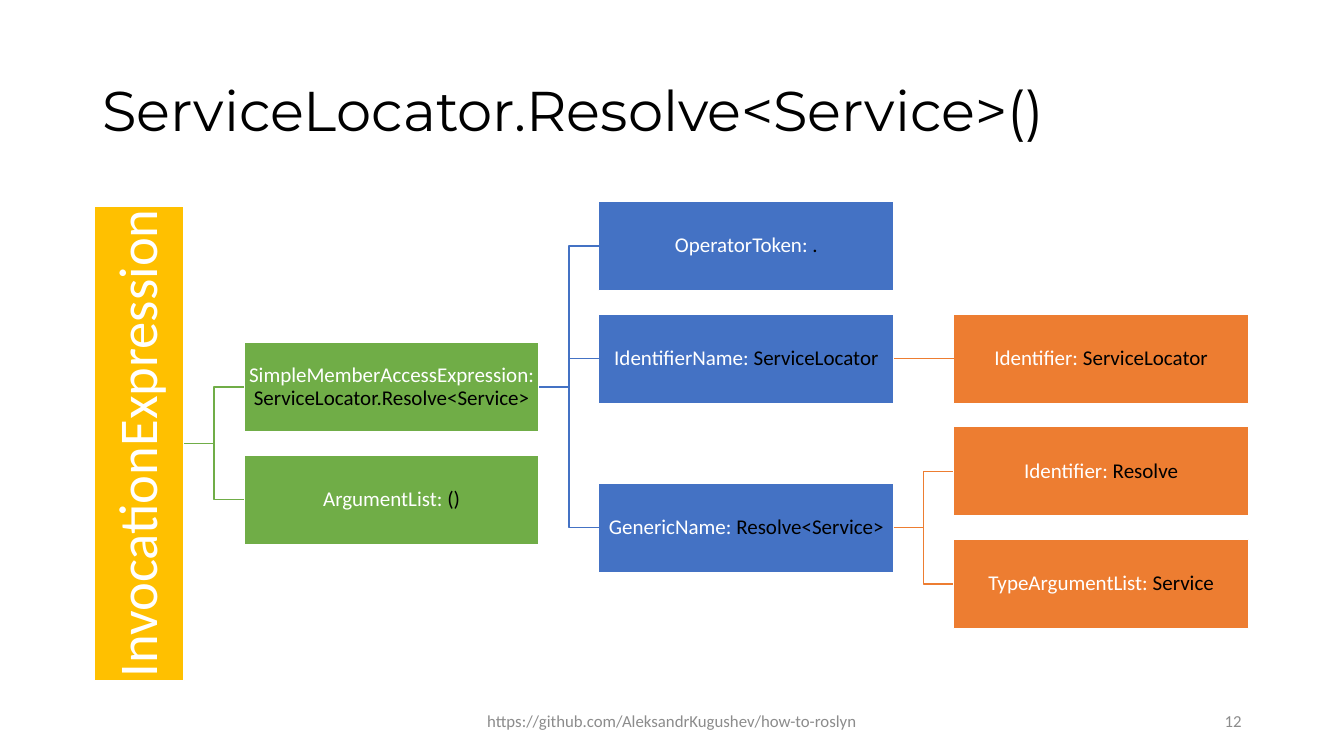
from dataclasses import dataclass

from lxml import etree
from pptx import Presentation
from pptx.dml.color import RGBColor
from pptx.enum.shapes import MSO_CONNECTOR as Link, MSO_SHAPE as Preset
from pptx.enum.text import MSO_ANCHOR as Anchor, PP_ALIGN as Align
from pptx.oxml.ns import qn
from pptx.util import Cm, Pt


@dataclass(frozen=True)
class Theme:
    root: str = "FFC000"
    levels: tuple = ("70AD47", "4472C4", "ED7D31")
    light: str = "FFFFFF"
    dark: str = "000000"
    muted: str = "8C8C8C"
    heading_font: str = "Montserrat"
    body_font: str = "Calibri"
    title_size: int = 40
    root_size: int = 39
    node_size: int = 15
    footer_size: int = 12


theme = Theme()


def write(shape, *runs, size, font=theme.body_font, align=Align.CENTER,
          spacing=0.9, inset=None):
    """Fill a shape with one paragraph of (text, colour) runs."""
    frame = shape.text_frame
    frame.word_wrap = True
    frame.vertical_anchor = Anchor.MIDDLE
    if inset is not None:
        frame.margin_left = frame.margin_right = Cm(inset)
        frame.margin_top = frame.margin_bottom = Cm(inset)
    paragraph = frame.paragraphs[0]
    paragraph.alignment = align
    paragraph.line_spacing = spacing
    for text, colour in runs:
        run = paragraph.add_run()
        run.text = text
        run.font.size = Pt(size)
        run.font.name = font
        run.font.color.rgb = RGBColor.from_string(colour)


def add_box(left, top, width, height, fill):
    box = slide.shapes.add_shape(
        Preset.RECTANGLE, Cm(left), Cm(top), Cm(width), Cm(height))
    box.shadow.inherit = False
    box.fill.solid()
    box.fill.fore_color.rgb = RGBColor.from_string(fill)
    box.line.color.rgb = RGBColor.from_string(theme.light)
    box.line.width = Pt(1)
    return box


deck = Presentation()
deck.slide_width, deck.slide_height = Cm(33.87), Cm(19.05)
slide = deck.slides.add_slide(deck.slide_layouts[5])

# Title
title = slide.shapes.title
title.left, title.top, title.width, title.height = Cm(2.33), Cm(1.01), Cm(29.21), Cm(3.68)
write(title, ("ServiceLocator.Resolve<Service>()", theme.dark),
      size=theme.title_size, font=theme.heading_font, align=Align.LEFT)

# Syntax tree grid: rows count from the topmost node
node_width, node_height = 7.44, 2.25
first_column, column_step = 6.15, 8.94
first_row, row_step = 6.2, 2.84

# Root, reading upwards
root_height = 11.96
root_middle = first_row + 1.75 * row_step
root = add_box(2.39, root_middle - root_height / 2, node_height, root_height, theme.root)
write(root, ("InvocationExpression", theme.light), size=theme.root_size, inset=0.08)
root.text_frame._txBody.bodyPr.set("vert", "vert270")

# Nodes: key, parent, level, row, kind, source text
tree = [
    ("access", "root", 0, 1.25, "SimpleMemberAccessExpression: ", "ServiceLocator.Resolve<Service>"),
    ("arguments", "root", 0, 2.25, "ArgumentList: ", "()"),
    ("dot", "access", 1, 0, "OperatorToken: ", "."),
    ("locator", "access", 1, 1, "IdentifierName: ", "ServiceLocator"),
    ("generic", "access", 1, 2.5, "GenericName: ", "Resolve<Service>"),
    ("locator id", "locator", 2, 1, "Identifier: ", "ServiceLocator"),
    ("resolve id", "generic", 2, 2, "Identifier: ", "Resolve"),
    ("type arguments", "generic", 2, 3, "TypeArgumentList: ", "Service"),
]
nodes = {"root": root}
for key, parent, level, row, kind, source in tree:
    colour = theme.levels[level]
    node = add_box(first_column + level * column_step,
                   first_row + row * row_step - node_height / 2,
                   node_width, node_height, colour)
    write(node, (kind, theme.light), (source, theme.dark),
          size=theme.node_size, inset=0.03)
    nodes[key] = node

    # Branch from the parent's right side to the node's left side
    style = Link.STRAIGHT if nodes[parent].top == node.top else Link.ELBOW
    branch = slide.shapes.add_connector(style, 0, 0, 0, 0)
    branch.begin_connect(nodes[parent], 3)
    branch.end_connect(node, 1)
    branch.line.color.rgb = RGBColor.from_string(colour)
    branch.line.width = Pt(1)
    etree.SubElement(branch._element.spPr, qn("a:effectLst"))

# Footer and slide number
for text, left, width, align in [
    ("https://github.com/AleksandrKugushev/how-to-roslyn", 11.22, 11.43, Align.CENTER),
    ("12", 23.92, 7.62, Align.RIGHT),
]:
    footer = slide.shapes.add_textbox(Cm(left), Cm(17.66), Cm(width), Cm(1.01))
    write(footer, (text, theme.muted), size=theme.footer_size, align=align, spacing=1.0)

deck.save("out.pptx")
